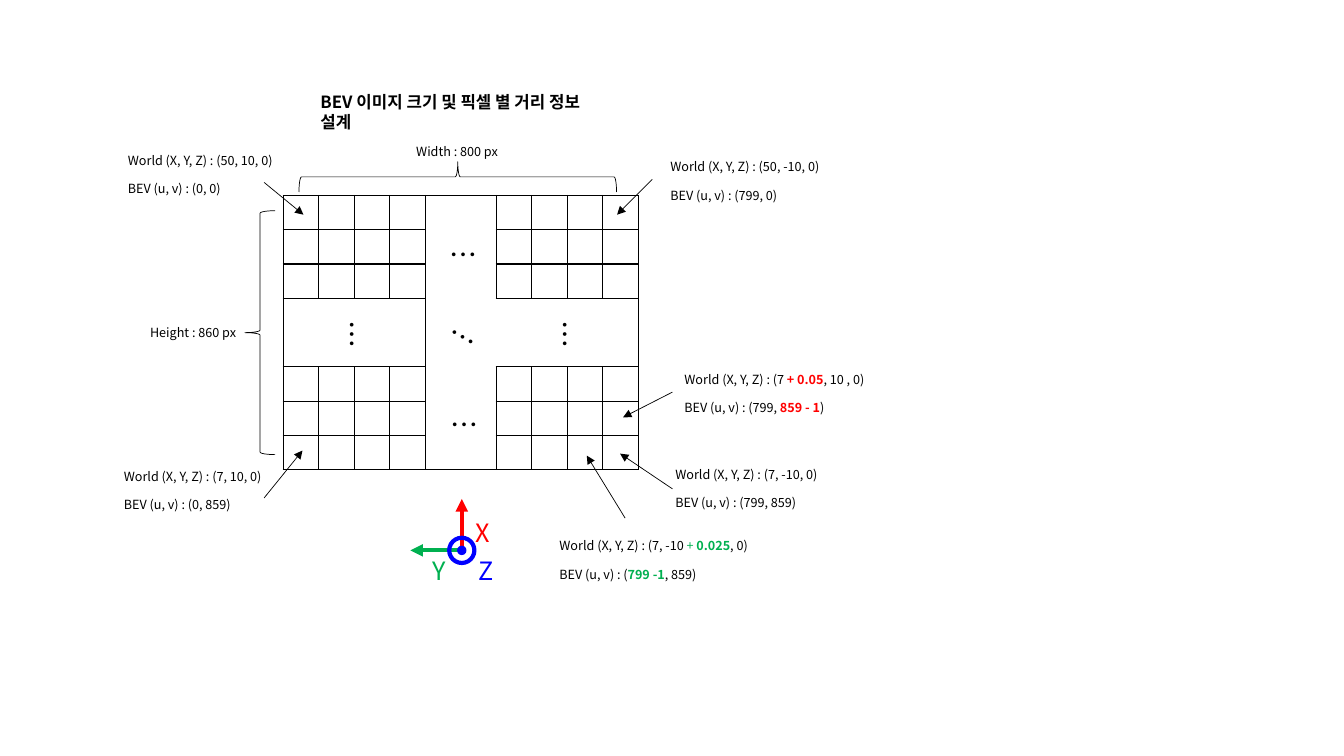
from lxml.etree import SubElement
from pptx import Presentation
from pptx.dml.color import RGBColor
from pptx.enum.shapes import MSO_CONNECTOR, MSO_SHAPE
from pptx.enum.text import MSO_AUTO_SIZE
from pptx.oxml.ns import qn
from pptx.util import Inches, Pt

FONT = "Noto Sans CJK KR"
COLORS = {"black": "000000", "red": "FF0000", "green": "00B050", "blue": "0000FF"}


def rgb(name):
    return RGBColor.from_string(COLORS[name])


def add_text(slide, text, left, top, width, height=0.25, size=9, color="black",
             bold=False, wrap=False, rotation=0):
    """Text is a string, or a list of (text, color, bold) runs."""
    box = slide.shapes.add_textbox(*map(Inches, (left, top, width, height)))
    box.rotation = rotation
    frame = box.text_frame
    frame.word_wrap = wrap
    frame.auto_size = MSO_AUTO_SIZE.SHAPE_TO_FIT_TEXT
    runs = [(text, color, bold)] if isinstance(text, str) else text
    for words, run_color, run_bold in runs:
        run = frame.paragraphs[0].add_run()
        run.text = words
        run.font.name = FONT
        run.font.size = Pt(size)
        run.font.bold = run_bold
        run.font.color.rgb = rgb(run_color)
        SubElement(run.font._element, qn("a:ea"), typeface=FONT)


def add_arrow(slide, start, end, color="black", weight=0.5):
    arrow = slide.shapes.add_connector(MSO_CONNECTOR.STRAIGHT, *map(Inches, start + end))
    arrow.line.color.rgb = rgb(color)
    arrow.line.width = Pt(weight)
    SubElement(arrow.line._get_or_add_ln(), qn("a:tailEnd"), type="triangle")
    SubElement(arrow._element.spPr, qn("a:effectLst"))


def add_outline(slide, kind, left, top, width, height, color="black", weight=0.5,
                filled=False, rotation=0):
    shape = slide.shapes.add_shape(kind, *map(Inches, (left, top, width, height)))
    shape.shadow.inherit = False
    shape.rotation = rotation
    shape.line.color.rgb = rgb(color)
    shape.line.width = Pt(weight)
    if filled:
        shape.fill.solid()
        shape.fill.fore_color.rgb = rgb(color)
    else:
        shape.fill.background()


def style_cell(cell, open_sides=()):
    cell.margin_left = cell.margin_right = cell.margin_top = cell.margin_bottom = 0
    props = cell._tc.get_or_add_tcPr()
    for side in "LRTB":
        border = SubElement(props, qn(f"a:ln{side}"), w=str(Pt(1)))
        if side in open_sides:
            SubElement(border, qn("a:noFill"))
        else:
            fill = SubElement(border, qn("a:solidFill"))
            SubElement(fill, qn("a:srgbClr"), val=COLORS["black"])
    cell.fill.background()
    # Small type keeps the empty rows at their set height
    SubElement(cell.text_frame.paragraphs[0]._p, qn("a:endParaRPr"), sz="800")


def pixel_grid(slide, left, top, width, height):
    rows, columns, middle_row, middle_column = 7, 9, 3, 4
    grid = slide.shapes.add_table(rows, columns, *map(Inches, (left, top, width, height))).table
    grid.first_row = grid.horz_banding = False
    # The middle row and column are twice as large as the others
    for index, column in enumerate(grid.columns):
        column.width = Inches(width / (columns + 1) * (1 + (index == middle_column)))
    for index, row in enumerate(grid.rows):
        row.height = Inches(height / (rows + 1) * (1 + (index == middle_row)))
    for row in range(rows):
        for column in range(columns):
            open_sides = ""
            if row == middle_row and column != middle_column:
                open_sides = "R" if column < middle_column else "L"
                if column == columns - 1:
                    open_sides = ""
            style_cell(grid.cell(row, column), open_sides)
    grid.cell(0, middle_column).merge(grid.cell(rows - 1, middle_column))
    for first, last in ((0, middle_column - 1), (middle_column + 1, columns - 1)):
        grid.cell(middle_row, first).merge(grid.cell(middle_row, last))

    # Ellipses for the pixels left out
    for dx, dy, rotation in ((1.55, 0.37, 0), (1.56, 2.05, 0), (0.46, 1.15, 90),
                             (2.57, 1.15, 90), (1.55, 1.18, 30)):
        add_text(slide, "…", left + dx, top + dy, 0.45, 0.44, size=20, rotation=rotation)


def size_braces(slide, left, top):
    """Braces and sizes, set out from the top left corner of the grid."""
    add_text(slide, "Width : 800 px", left + 1.22, top - 0.56, 1.03)
    add_text(slide, "Height : 860 px", left - 1.42, top + 1.23, 1.07)
    add_outline(slide, MSO_SHAPE.LEFT_BRACE, left - 0.38, top + 0.15, 0.3, 2.42)
    add_outline(slide, MSO_SHAPE.LEFT_BRACE, left + 1.58, top - 1.76, 0.3, 3.15, rotation=90)


def world_axes(slide, x, y):
    """Axes around the origin at x, y."""
    length = 0.51
    add_arrow(slide, (x, y), (x, y - length), "red", 3)
    add_arrow(slide, (x, y), (x - length, y), "green", 3)
    for size, weight, filled in ((0.25, 3, False), (0.08, 1, True)):
        add_outline(slide, MSO_SHAPE.OVAL, x - size / 2, y - size / 2, size, size,
                    "blue", weight, filled)
    for axis, dx, dy, color in (("X", 0.04, -0.38, "red"), ("Y", -0.39, 0, "green"),
                                ("Z", 0.07, 0, "blue")):
        add_text(slide, axis, x + dx, y + dy, 0.35, 0.4, size=18, color=color)


def pixel_callout(slide, left, top, world, bev, widths, start, end):
    add_text(slide, world, left, top, widths[0])
    add_text(slide, bev, left, top + 0.28, widths[1])
    add_arrow(slide, start, end)


# left, top, world position, BEV pixel, widths, arrow start, arrow end
CALLOUTS = [
    (1.17, 1.47, "World (X, Y, Z) : (50, 10, 0)", "BEV (u, v) : (0, 0)",
     (1.75, 1.2), (2.62, 1.81), (3.01, 2.13)),
    (6.55, 1.53, "World (X, Y, Z) : (50, -10, 0)", "BEV (u, v) : (799, 0)",
     (1.83, 1.35), (6.47, 1.78), (6.12, 2.13)),
    (1.13, 4.6, "World (X, Y, Z) : (7, 10, 0)", "BEV (u, v) : (0, 859)",
     (1.68, 1.35), (2.62, 4.94), (3, 4.47)),
    (6.6, 4.58, "World (X, Y, Z) : (7, -10, 0)", "BEV (u, v) : (799, 859)",
     (1.75, 1.5), (6.67, 4.85), (6.15, 4.5)),
    (6.69, 3.64,
     [("World (X, Y, Z) : (7 ", "black", False), ("+ 0.05", "red", True),
      (", 10 , 0)", "black", False)],
     [("BEV (u, v) : (799, ", "black", False), ("859 - 1", "red", True),
      (")", "black", False)],
     (2.1, 1.7), (6.67, 3.89), (6.18, 4.14)),
    (5.45, 5.29,
     [("World (X, Y, Z) : (7, -10 ", "black", False), ("+ ", "green", False),
      ("0.025", "green", True), (", 0)", "black", False)],
     [("BEV (u, v) : (", "black", False), ("799 -1", "green", True),
      (", 859)", "black", False)],
     (2.21, 1.67), (6.2, 5.14), (5.82, 4.52)),
]


def bev_slide(deck):
    slide = deck.slides.add_slide(deck.slide_layouts[6])
    grid_left, grid_top = 2.81, 1.94
    pixel_grid(slide, grid_left, grid_top, 3.52, 2.72)
    size_braces(slide, grid_left, grid_top)
    world_axes(slide, 4.58, 5.46)
    for callout in CALLOUTS:
        pixel_callout(slide, *callout)
    # Title
    add_text(slide, "BEV 이미지 크기 및 픽셀 별 거리 정보 설계", 3.08, 0.86, 3.08, 0.3,
             size=12, bold=True, wrap=True)


def main():
    deck = Presentation()
    deck.slide_width, deck.slide_height = Inches(13.33), Inches(7.5)
    bev_slide(deck)
    deck.save("out.pptx")


if __name__ == "__main__":
    main()
